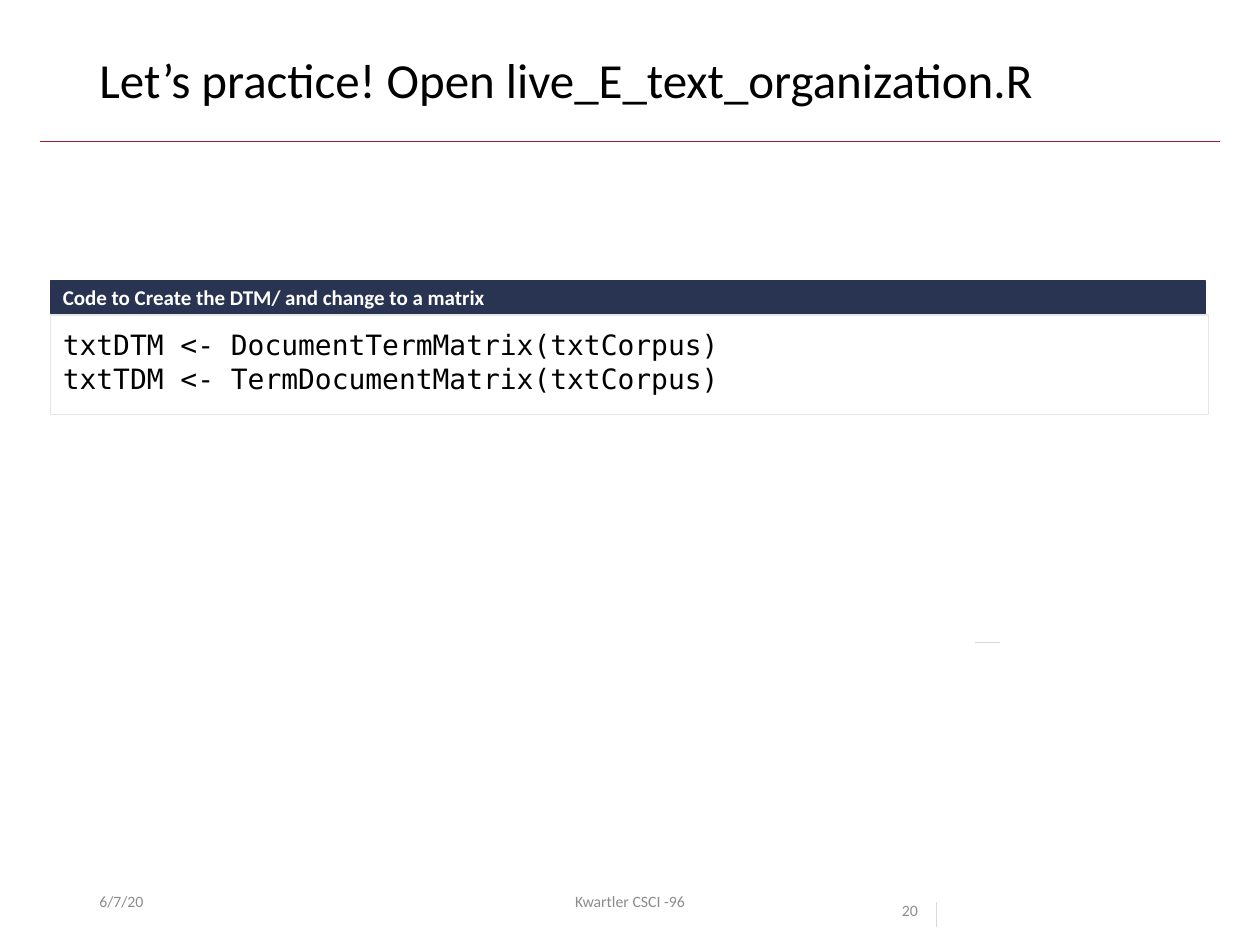
"""Build the practice slide on creating document-term matrices."""
from pptx import Presentation
from pptx.dml.color import RGBColor
from pptx.enum.shapes import MSO_CONNECTOR, MSO_SHAPE
from pptx.enum.text import MSO_ANCHOR, PP_ALIGN
from pptx.oxml.ns import qn
from pptx.util import Inches, Pt
from lxml import etree

BLACK = RGBColor(0x00, 0x00, 0x00)
WHITE = RGBColor(0xFF, 0xFF, 0xFF)
GRAY = RGBColor(0x8C, 0x8C, 0x8C)
PALE = RGBColor(0xD9, 0xD9, 0xD9)
BORDER = RGBColor(0xE7, 0xE6, 0xE6)
NAVY = RGBColor(0x29, 0x33, 0x52)
CRIMSON = RGBColor(0xA5, 0x1C, 0x30)
TOP, MIDDLE = MSO_ANCHOR.TOP, MSO_ANCHOR.MIDDLE
LEFT, CENTER = PP_ALIGN.LEFT, PP_ALIGN.CENTER

deck = Presentation()
deck.slide_width, deck.slide_height = Inches(10), Inches(7.5)
slide = deck.slides.add_slide(deck.slide_layouts[6])


def write(shape, lines, size, color, font="Calibri", bold=False,
          anchor=TOP, align=LEFT, spacing=1.0):
    frame = shape.text_frame
    frame.word_wrap = True
    frame.vertical_anchor = anchor
    for index, line in enumerate(lines):
        paragraph = frame.add_paragraph() if index else frame.paragraphs[0]
        paragraph.alignment = align
        paragraph.line_spacing = spacing
        run = paragraph.add_run()
        run.text = line
        run.font.name, run.font.size = font, Pt(size)
        run.font.bold, run.font.color.rgb = bold, color


def add_rule(x1, y1, x2, y2, color):
    rule = slide.shapes.add_connector(
        MSO_CONNECTOR.STRAIGHT, Inches(x1), Inches(y1), Inches(x2), Inches(y2))
    rule.line.color.rgb, rule.line.width = color, Pt(0.5)
    etree.SubElement(rule._element.spPr, qn("a:effectLst"))


add_rule(0.32, 1.12, 9.68, 1.12, CRIMSON)

title = slide.shapes.add_textbox(Inches(0.69), Inches(0.4), Inches(8.62), Inches(0.65))
write(title, ["Let’s practice! Open live_E_text_organization.R"], 28, BLACK, spacing=0.9)

for text, left, width, anchor, align, spacing in [
    ("6/7/20", 0.69, 2.25, MIDDLE, LEFT, 1.0),
    ("20", 7.06, 0.94, TOP, LEFT, 2.0),
    ("Kwartler CSCI -96", 3.31, 3.38, MIDDLE, CENTER, 1.0),
]:
    footer = slide.shapes.add_textbox(Inches(left), Inches(6.95), Inches(width), Inches(0.4))
    write(footer, [text], 9, GRAY, anchor=anchor, align=align, spacing=spacing)

code = ["txtDTM <- DocumentTermMatrix(txtCorpus)",
        "txtTDM <- TermDocumentMatrix(txtCorpus)"]
heading = ["Code to Create the DTM/ and change to a matrix"]
for lines, top, width, height, fill, border, size, color, font, bold, anchor in [
    (code, 2.5, 9.19, 0.79, WHITE, BORDER, 16, BLACK, "DejaVu Sans Mono", False, TOP),
    (heading, 2.23, 9.17, 0.26, NAVY, NAVY, 12, WHITE, "Calibri", True, MIDDLE),
]:
    panel = slide.shapes.add_shape(
        MSO_SHAPE.RECTANGLE, Inches(0.4), Inches(top), Inches(width), Inches(height))
    panel.shadow.inherit = False
    panel.fill.solid()
    panel.fill.fore_color.rgb = fill
    panel.line.color.rgb, panel.line.width = border, Pt(0.75)
    frame = panel.text_frame
    frame.margin_left = frame.margin_right = Inches(0.1)
    frame.margin_top = frame.margin_bottom = Inches(0.1)
    write(panel, lines, size, color, font, bold, anchor)

add_rule(7.43, 7.16, 7.43, 7.36, PALE)
add_rule(7.74, 5.1, 7.94, 5.1, PALE)

deck.save("out.pptx")
